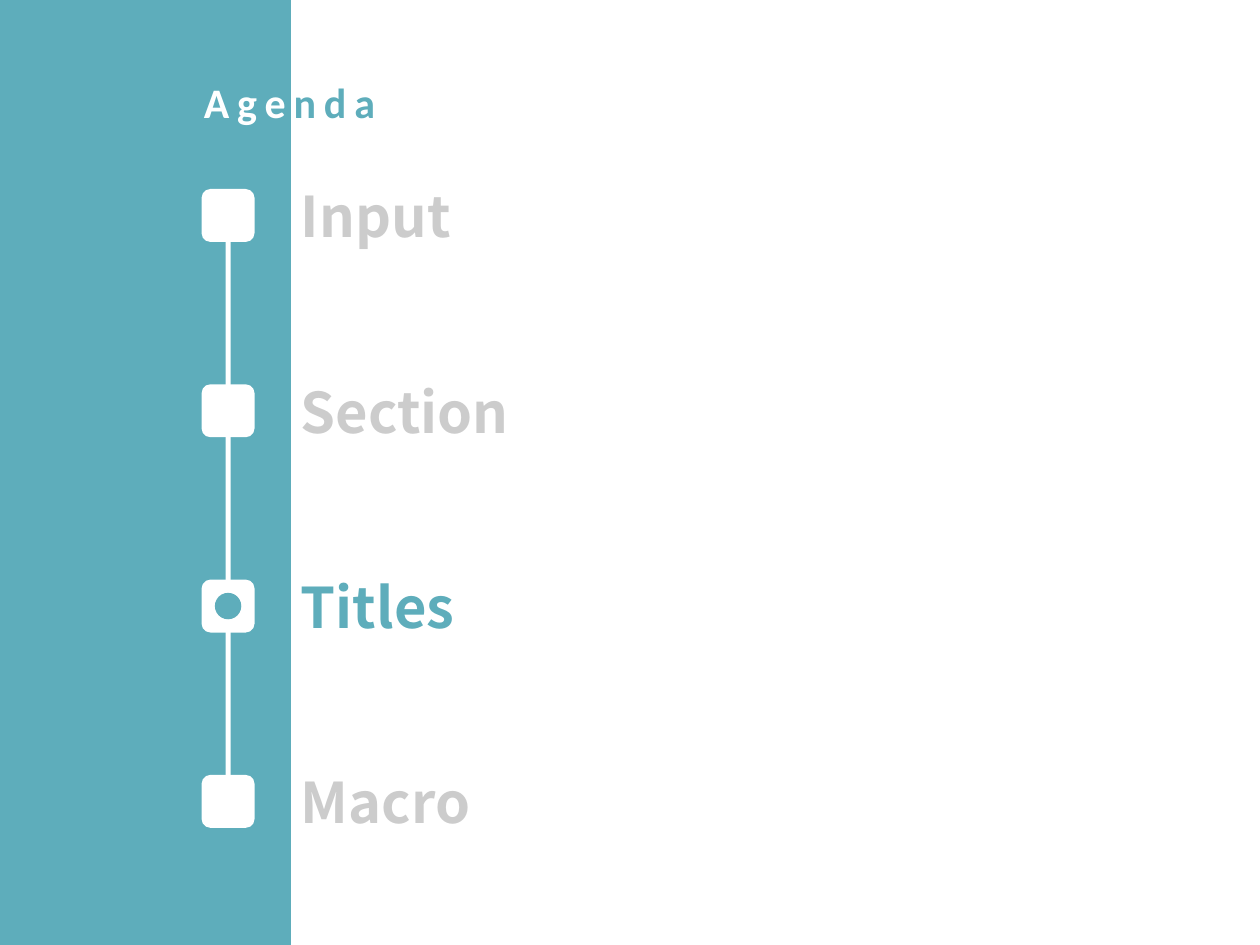
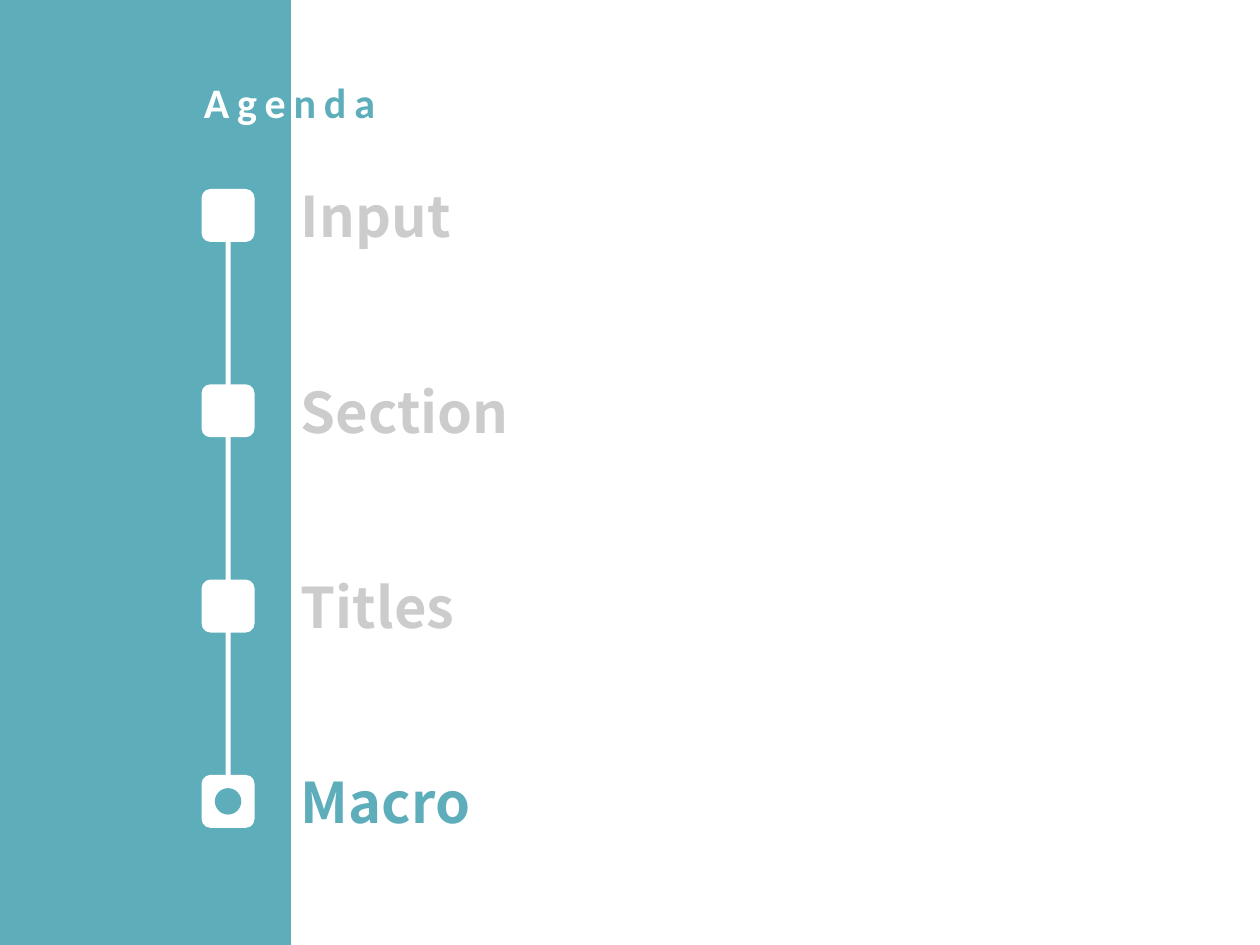
from dataclasses import dataclass
from pptx import Presentation, util as u
from pptx.dml.color import RGBColor
from pptx.enum import shapes, text


@dataclass(frozen=True)
class Theme:
    teal: str = "5EADBB"
    white: str = "FFFFFF"
    grey: str = "CCCCCC"
    head_font: str = "Calibri"
    item_font: str = "Noto Sans CJK JP"
    head_size: int = 24
    item_size: int = 32
    spacing: int = 450


THEME = Theme()
KIND = shapes.MSO_SHAPE
TOPICS = ["Input", "Section", "Titles", "Macro"]
ACTIVE = ["Titles", "Macro"]
AXIS = 1.81
FIRST = 1.71
STEP = 1.55
NODE = 0.42
DOT = 0.21
RAIL = 0.04
LABEL = 0.64


def add_shape(slide, kind, left, top, width, height, color):
    shape = slide.shapes.add_shape(kind, *map(u.Inches, (left, top, width, height)))
    shape.shadow.inherit = False
    shape.fill.solid()
    shape.fill.fore_color.rgb = RGBColor.from_string(color)
    shape.line.fill.background()


def add_mark(slide, kind, mid, size, color):
    add_shape(slide, kind, AXIS - size / 2, mid - size / 2, size, size, color)


def add_text(slide, left, top, width, height, parts, face, size):
    box = slide.shapes.add_textbox(*map(u.Inches, (left, top, width, height)))
    frame = box.text_frame
    frame.word_wrap = True
    frame.auto_size = text.MSO_AUTO_SIZE.SHAPE_TO_FIT_TEXT
    frame.vertical_anchor = text.MSO_ANCHOR.MIDDLE
    para = frame.paragraphs[0]
    para.font.name = face
    para.font.size = u.Pt(size)
    para.font.bold = True
    for words, color in parts:
        run = para.add_run()
        run.text = words
        run.font.color.rgb = RGBColor.from_string(color)
    return para


def add_frame(slide):
    add_shape(slide, KIND.RECTANGLE, 0, 0, 2.31, 7.5, THEME.teal)
    parts = [("Age", THEME.white), ("nda", THEME.teal)]
    head = add_text(slide, 1.52, 0.56, 3.14, 0.5, parts,
                    THEME.head_font, THEME.head_size)
    for run in head.runs:
        run.font._element.set("spc", str(THEME.spacing))


def add_topic(slide, topic, mid, active):
    color = THEME.teal if active else THEME.grey
    add_text(slide, 2.29, mid - LABEL / 2, 7.36, LABEL, [(topic, color)],
             THEME.item_font, THEME.item_size)
    add_mark(slide, KIND.ROUNDED_RECTANGLE, mid, NODE, THEME.white)
    if active:
        add_mark(slide, KIND.OVAL, mid, DOT, THEME.teal)


def add_agenda(deck, current):
    slide = deck.slides.add_slide(deck.slide_layouts[6])
    add_frame(slide)
    length = STEP * (len(TOPICS) - 1)
    add_shape(slide, KIND.RECTANGLE, AXIS - RAIL / 2, FIRST, RAIL, length, THEME.white)
    for row, topic in enumerate(TOPICS):
        add_topic(slide, topic, FIRST + row * STEP, topic == current)


def main():
    deck = Presentation()
    deck.slide_width = u.Inches(10)
    deck.slide_height = u.Inches(7.5)
    for current in ACTIVE:
        add_agenda(deck, current)
    deck.save("out.pptx")


if __name__ == "__main__":
    main()
